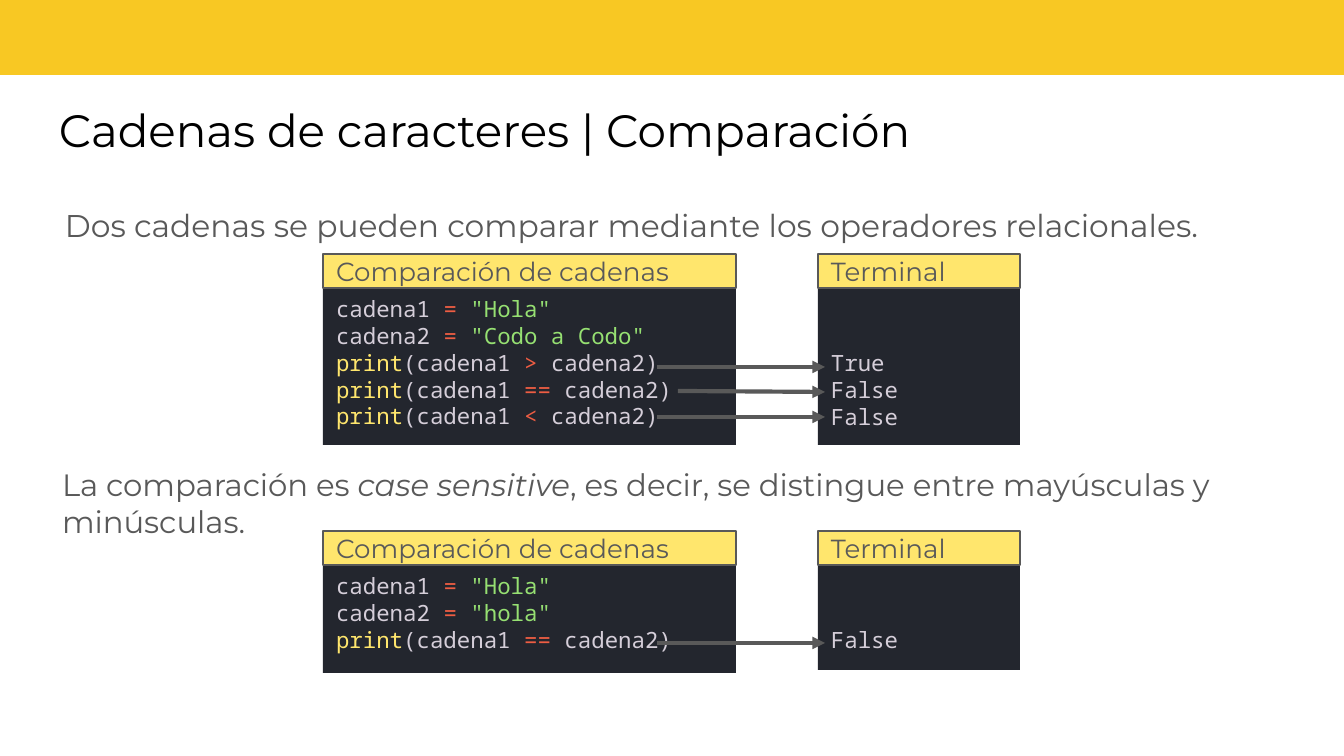
from lxml.etree import SubElement
from pptx import Presentation
from pptx.dml.color import RGBColor
from pptx.enum.shapes import MSO_CONNECTOR, MSO_SHAPE
from pptx.enum.text import MSO_ANCHOR, PP_ALIGN
from pptx.oxml.ns import qn
from pptx.util import Pt

PX = 914400 / 134.4
SANS, MONO = "Montserrat", "Noto Sans Mono"
COLORS = {
    "bar": "F8C823", "title": "000000", "text": "595959",
    "header": "FFE66D", "panel": "23262E", "plain": "D5CED9",
    "operator": "EE5D43", "string": "96E072", "function": "FFE66D",
}


def assign(name, value):
    return [(name + " ", "plain"), ("=", "operator"), (" ", "plain"), (value, "string")]


def compare(operator):
    return [("print", "function"), ("(cadena1 ", "plain"),
            (operator, "operator"), (" cadena2)", "plain")]


TEXTS = [
    ((46, 87, 1250, 85), 13, 24.3, "title", 1, MSO_ANCHOR.MIDDLE,
     [("Cadenas de caracteres | Comparación", False)]),
    ((65, 188, 1216, 481), 0, 16.8, "text", 1.15, MSO_ANCHOR.TOP,
     [("Dos cadenas se pueden comparar mediante los operadores relacionales.", False)]),
    ((62, 453, 1216, 99), 0, 16.5, "text", 1, MSO_ANCHOR.TOP,
     [("La comparación es ", False), ("case sensitive", True),
      (", es decir, se distingue entre mayúsculas y minúsculas.", False)]),
]
EXAMPLES = [
    {"top": 254, "code_height": 157, "terminal_height": 157,
     "code": [assign("cadena1", '"Hola"'), assign("cadena2", '"Codo a Codo"'),
              compare(">"), compare("=="), compare("<")],
     "output": ["True", "False", "False"],
     "arrows": [(657, 367, 367), (678, 391, 392), (657, 417, 417)]},
    {"top": 531, "code_height": 108, "terminal_height": 105,
     "code": [assign("cadena1", '"Hola"'), assign("cadena2", '"hola"'), compare("==")],
     "output": ["False"],
     "arrows": [(657, 643, 643)]},
]
CODE_LEFT, CODE_WIDTH = 323, 413
TERMINAL_LEFT, TERMINAL_WIDTH = 818, 202
HEADER_HEIGHT, ARROW_END = 34, 825
LINE_HEIGHT, PADDING = 27, 7


def px(*values):
    return [round(value * PX) for value in values]


def color(name):
    return RGBColor.from_string(COLORS[name])


def set_frame(shape, side, vertical, anchor, top=None):
    frame = shape.text_frame
    frame.word_wrap = True
    frame.vertical_anchor = anchor
    frame.margin_left, frame.margin_right = px(side, side)
    frame.margin_top, frame.margin_bottom = px(top or vertical, vertical)
    return frame


def add_run(paragraph, text, font_name, size, color_name, italic=False):
    paragraph.alignment = PP_ALIGN.LEFT
    run = paragraph.add_run()
    run.text = text
    run.font.name = font_name
    run.font.size = Pt(size)
    run.font.italic = italic
    run.font.color.rgb = color(color_name)


def add_rectangle(slide, box, fill, outlined=False):
    shape = slide.shapes.add_shape(MSO_SHAPE.RECTANGLE, *px(*box))
    shape.shadow.inherit = False
    shape.fill.solid()
    shape.fill.fore_color.rgb = color(fill)
    if outlined:
        shape.line.color.rgb = color("text")
        shape.line.width = Pt(0.75)
    else:
        shape.line.fill.background()
    return shape


def add_text(slide, box, side, size, color_name, spacing, anchor, runs):
    frame = set_frame(slide.shapes.add_textbox(*px(*box)), side, 13, anchor)
    paragraph = frame.paragraphs[0]
    paragraph.line_spacing = spacing
    for text, italic in runs:
        add_run(paragraph, text, SANS, size, color_name, italic)


def add_panel(slide, left, top, width, height, heading, lines, skipped=0):
    body = add_rectangle(slide, (left, top + HEADER_HEIGHT, width, height), "panel")
    frame = set_frame(body, 13, PADDING, MSO_ANCHOR.TOP, PADDING + skipped * LINE_HEIGHT)
    for index, line in enumerate(lines):
        paragraph = frame.add_paragraph() if index else frame.paragraphs[0]
        for text, role in line:
            add_run(paragraph, text, MONO, 12, role)
    header = add_rectangle(slide, (left, top, width, HEADER_HEIGHT), "header", True)
    frame = set_frame(header, 13, PADDING, MSO_ANCHOR.MIDDLE)
    add_run(frame.paragraphs[0], heading, SANS, 14, "text")


def add_arrow(slide, start, start_y, end_y):
    arrow = slide.shapes.add_connector(
        MSO_CONNECTOR.STRAIGHT, *px(start, start_y, ARROW_END, end_y))
    arrow.line.color.rgb = color("text")
    arrow.line.width = Pt(2.25)
    SubElement(arrow.line._get_or_add_ln(), qn("a:tailEnd"), type="triangle")
    SubElement(arrow._element.spPr, qn("a:effectLst"))


def main():
    presentation = Presentation()
    presentation.slide_width, presentation.slide_height = px(1344, 756)
    slide = presentation.slides.add_slide(presentation.slide_layouts[6])
    add_rectangle(slide, (-2, -7, 1348, 82), "bar")
    for text in TEXTS:
        add_text(slide, *text)
    for example in EXAMPLES:
        add_panel(slide, CODE_LEFT, example["top"], CODE_WIDTH, example["code_height"],
                  "Comparación de cadenas", example["code"])
        output = [[(text, "plain")] for text in example["output"]]
        add_panel(slide, TERMINAL_LEFT, example["top"], TERMINAL_WIDTH,
                  example["terminal_height"], "Terminal", output, skipped=2)
        for arrow in example["arrows"]:
            add_arrow(slide, *arrow)
    presentation.save("out.pptx")


if __name__ == "__main__":
    main()
